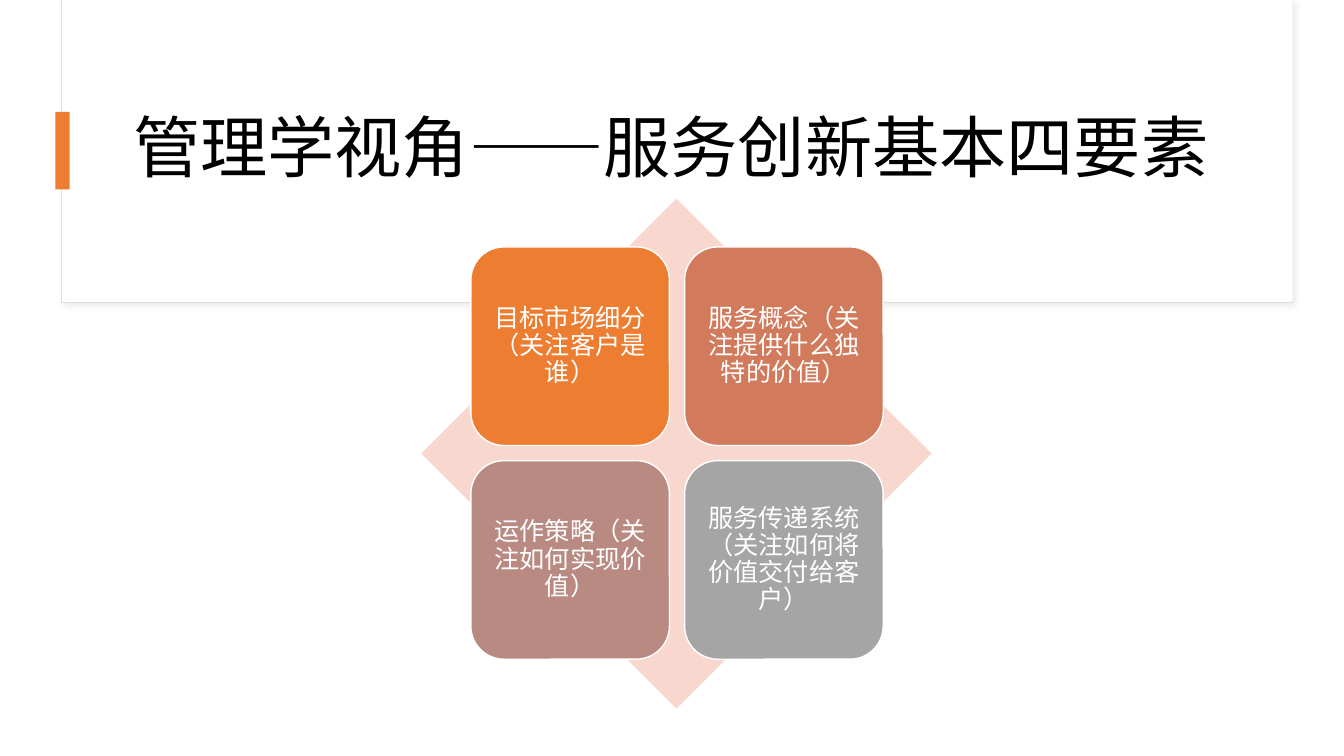
from lxml import etree
from pptx import Presentation
from pptx.dml.color import RGBColor
from pptx.enum.shapes import MSO_SHAPE
from pptx.enum.text import MSO_ANCHOR, MSO_AUTO_SIZE, PP_ALIGN
from pptx.oxml.ns import qn
from pptx.util import Emu, Pt

RECT = MSO_SHAPE.RECTANGLE
DIAMOND = MSO_SHAPE.DIAMOND
ROUNDED = MSO_SHAPE.ROUNDED_RECTANGLE
MIDDLE = MSO_ANCHOR.MIDDLE
NO_AUTOFIT = MSO_AUTO_SIZE.NONE
LEFT, CENTER = PP_ALIGN.LEFT, PP_ALIGN.CENTER

EMU_PER_PX = 9144  # 100 px to the inch
TITLE_ONLY_LAYOUT = 5
FONT = "Calibri"

TITLE = "管理学视角——服务创新基本四要素"
ELEMENTS = [
    ("目标市场细分（关注客户是谁）", "ED7D31"),
    ("服务概念（关注提供什么独特的价值）", "D17B5C"),
    ("运作策略（关注如何实现价值）", "B98A82"),
    ("服务传递系统（关注如何将价值交付给客户）", "A5A5A5"),
]
TILE_LEFT, TILE_TOP = 467, 245
TILE_SIZE, TILE_PITCH = 197, 212


def px(length):
    return Emu(length * EMU_PER_PX)


def color(hex_value):
    return RGBColor.from_string(hex_value)


def set_text(shape, text, size, font_color, align, inset):
    frame = shape.text_frame
    frame.word_wrap = True
    frame.auto_size = NO_AUTOFIT
    frame.vertical_anchor = MIDDLE
    frame.margin_left = frame.margin_right = px(inset)
    frame.margin_top = frame.margin_bottom = px(inset)
    paragraph = frame.paragraphs[0]
    paragraph.alignment = align
    paragraph.line_spacing = 0.9
    run = paragraph.add_run()
    run.text = text
    run.font.name = FONT
    run.font.size = Pt(size)
    run.font.color.rgb = color(font_color)


def add_block(shapes, kind, left, top, width, height, fill, line=None, line_width=1):
    block = shapes.add_shape(kind, px(left), px(top), px(width), px(height))
    block.shadow.inherit = False
    block.fill.solid()
    block.fill.fore_color.rgb = color(fill)
    if line:
        block.line.color.rgb = color(line)
        block.line.width = Pt(line_width)
    else:
        block.line.fill.background()
    return block


def add_soft_shadow(block, hex_value, opacity, blur, distance, angle):
    effects = block.element.spPr.find(qn("a:effectLst"))
    shadow = etree.SubElement(
        effects, qn("a:outerShdw"), blurRad=str(Pt(blur)), dist=str(Pt(distance)),
        dir=str(angle * 60000), algn="tl", rotWithShape="0")
    tint = etree.SubElement(shadow, qn("a:srgbClr"), val=hex_value)
    etree.SubElement(tint, qn("a:alpha"), val=str(opacity * 1000))


def add_title_band(slide):
    # Card behind the title
    card = add_block(slide.shapes, RECT, 61, 0, 1221, 300, "FFFFFF", "DEDEDE", 0.75)
    add_soft_shadow(card, "D9D9D9", opacity=50, blur=4, distance=3, angle=45)
    panel = add_block(slide.shapes, RECT, 62, 0, 1220, 298, "FFFFFF")

    # Title, in front of the card
    title = slide.shapes.title
    title.left, title.top = px(122), px(38)
    title.width, title.height = px(1112), px(224)
    set_text(title, TITLE, size=48, font_color="000000", align=LEFT, inset=10)
    for backing in (card, panel):
        title.element.addprevious(backing.element)

    # Accent bar
    add_block(slide.shapes, RECT, 55, 111, 14, 77, "ED7D31")


def add_matrix(slide):
    matrix = slide.shapes.add_group_shape().shapes
    add_block(matrix, DIAMOND, 418, 197, 506, 506, "F8D7CE")
    for index, (label, fill) in enumerate(ELEMENTS):
        row, column = divmod(index, 2)
        tile = add_block(matrix, ROUNDED, TILE_LEFT + column * TILE_PITCH,
                         TILE_TOP + row * TILE_PITCH, TILE_SIZE, TILE_SIZE,
                         fill, "FFFFFF")
        set_text(tile, label, size=18, font_color="FFFFFF", align=CENTER, inset=7)


def main():
    deck = Presentation()
    deck.slide_width, deck.slide_height = px(1333), px(750)
    slide = deck.slides.add_slide(deck.slide_layouts[TITLE_ONLY_LAYOUT])
    add_title_band(slide)
    add_matrix(slide)
    deck.save("out.pptx")


if __name__ == "__main__":
    main()
